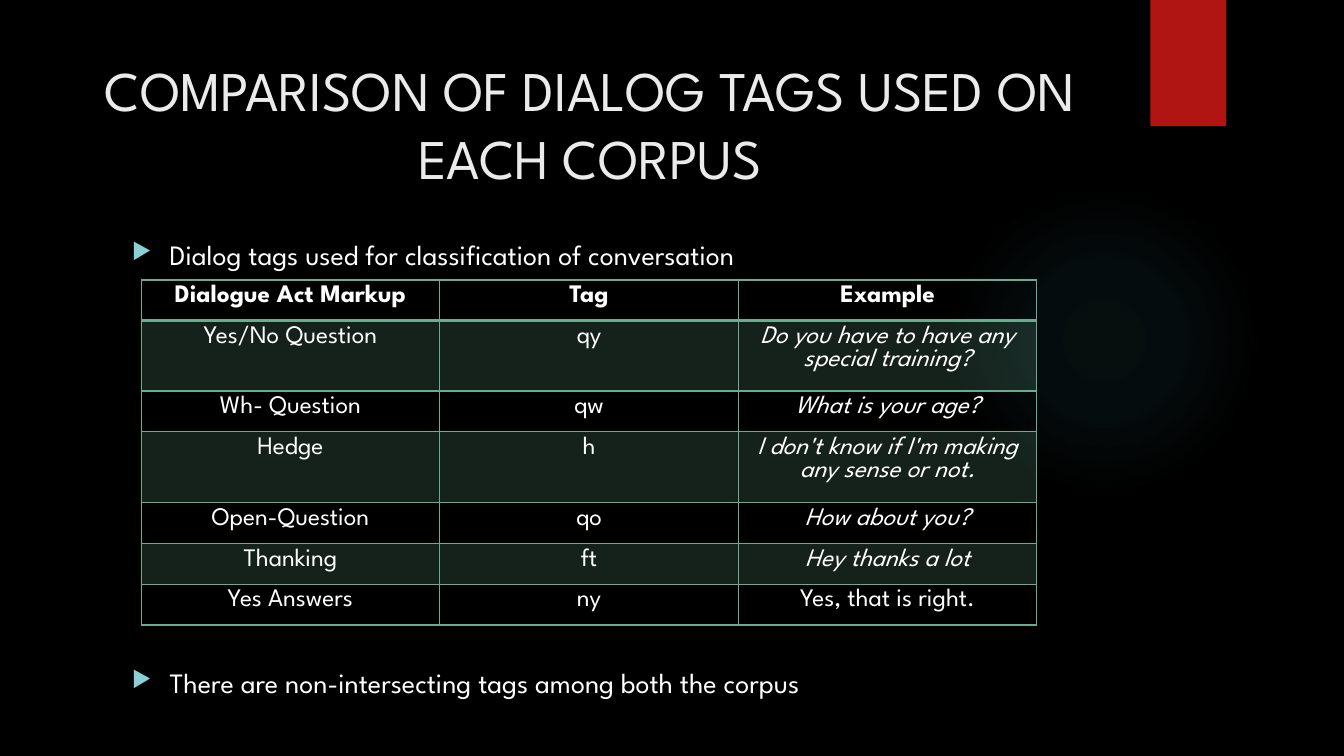
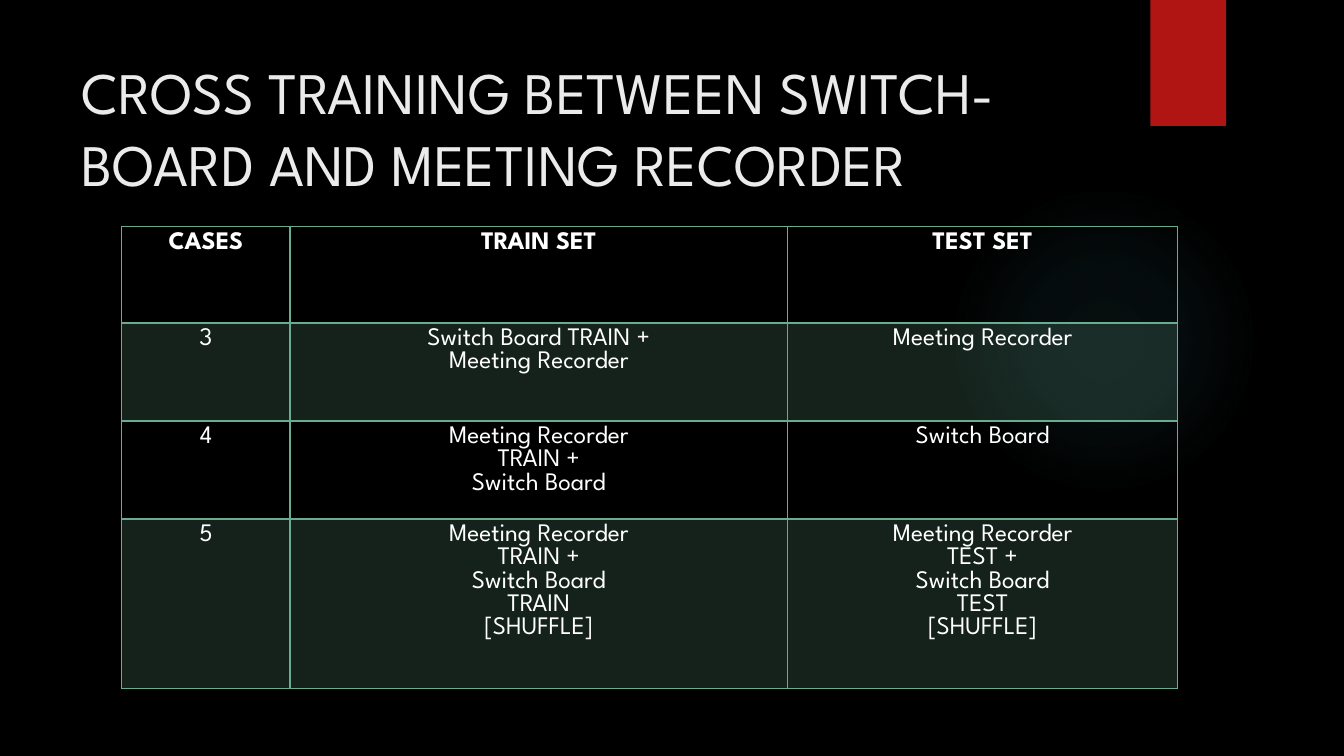
from lxml.etree import SubElement
from pptx import Presentation
from pptx.dml.color import RGBColor
from pptx.enum.shapes import MSO_SHAPE
from pptx.enum.text import MSO_ANCHOR, MSO_AUTO_SIZE, PP_ALIGN
from pptx.oxml import parse_xml
from pptx.oxml.ns import nsdecls, qn
from pptx.util import Pt

FONT = "League Spartan"
COLOURS = {
    "background": "000000",
    "title": "EBEBEB",
    "text": "FFFFFF",
    "ribbon": "B01513",
    "glow": "50B9C1",
    "bullet": "8AD0D6",
    "table": "6AAC90",
}
GLOW_STOPS = ((0, 7), (36, 6), (69, 0))  # position and opacity in percent
BAND_OPACITY = 20


def rgb(name):
    return RGBColor.from_string(COLOURS[name])


class DarkDeck:
    """Holds the style and the current page."""

    def __init__(self):
        self.deck = Presentation()
        self.deck.slide_width, self.deck.slide_height = Pt(960), Pt(540)
        fill = self.deck.slide_master.background.fill
        fill.solid()
        fill.fore_color.rgb = rgb("background")
        self.page = None

    def add_page(self, title, size, align):
        self.page = self.deck.slides.add_slide(self.deck.slide_layouts[5])
        self.glow()
        self.ribbon()
        self.title(title, size, align)

    def shape(self, kind, left, top, width, height):
        shape = self.page.shapes.add_shape(
            kind, Pt(left), Pt(top), Pt(width), Pt(height))
        shape.shadow.inherit = False
        shape.line.fill.background()
        return shape

    def glow(self):
        circle = self.shape(MSO_SHAPE.OVAL, 677.5, 131.8, 221.8, 221.8)
        stops = "".join(
            f'<a:gs pos="{place * 1000}"><a:srgbClr val="{COLOURS["glow"]}">'
            f'<a:alpha val="{opacity * 1000}"/></a:srgbClr></a:gs>'
            for place, opacity in GLOW_STOPS)
        gradient = parse_xml(
            f'<a:gradFill {nsdecls("a")}><a:gsLst>{stops}</a:gsLst>'
            '<a:path path="circle"><a:fillToRect l="50000" t="50000" '
            'r="50000" b="50000"/></a:path></a:gradFill>')
        circle._element.spPr.find(qn("a:prstGeom")).addnext(gradient)

    def ribbon(self):
        ribbon = self.shape(MSO_SHAPE.RECTANGLE, 821.8, 0, 54, 90)
        ribbon.fill.solid()
        ribbon.fill.fore_color.rgb = rgb("ribbon")

    def span(self, para, text, size, colour="text", bold=False, italic=False):
        span = para.add_run()
        span.text = text
        font = span.font
        font.name, font.size = FONT, Pt(size)
        font.bold, font.italic = bold, italic
        font.color.rgb = rgb(colour)

    def title(self, text, size, align):
        box = self.page.shapes.title
        box.left, box.top, box.width, box.height = (
            Pt(51.1), Pt(36), Pt(740.9), Pt(110.2))
        frame = box.text_frame
        frame.auto_size = MSO_AUTO_SIZE.NONE
        frame.word_wrap = True
        frame.vertical_anchor = MSO_ANCHOR.TOP
        para = frame.paragraphs[0]
        para.alignment = align
        para.line_spacing = Pt(size * 1.21)
        self.span(para, text, size, "title")

    def bullet(self, text, top):
        box = self.page.shapes.add_textbox(Pt(87.1), Pt(top), Pt(704), Pt(28))
        box.text_frame.word_wrap = True
        para = box.text_frame.paragraphs[0]
        props = para._p.get_or_add_pPr()
        props.set("marL", str(Pt(27)))
        props.set("indent", str(-Pt(27)))
        colour = SubElement(props, qn("a:buClr"))
        SubElement(colour, qn("a:srgbClr"), val=COLOURS["bullet"])
        SubElement(props, qn("a:buSzPct"), val="80000")
        SubElement(props, qn("a:buChar"), char="▶")
        self.span(para, text, 20)

    def border(self, cell, side, width):
        line = SubElement(cell._tc.get_or_add_tcPr(), qn(f"a:ln{side}"),
                          w=str(Pt(width)))
        fill = SubElement(line, qn("a:solidFill"))
        SubElement(fill, qn("a:srgbClr"), val=COLOURS["table"])

    def cell(self, cell, text, row, italic):
        # Borders come before the fill; the header has a heavier lower edge
        for side in "LRTB":
            heavy = (row, side) in ((0, "B"), (1, "T"))
            self.border(cell, side, 2 if heavy else 1)
        if row % 2:
            cell.fill.solid()
            cell.fill.fore_color.rgb = rgb("table")
            tint = cell._tc.tcPr.find(qn("a:solidFill"))[0]
            SubElement(tint, qn("a:alpha"), val=str(BAND_OPACITY * 1000))
        else:
            cell.fill.background()
        frame = cell.text_frame
        for number, line in enumerate(text.split("\n")):
            para = frame.add_paragraph() if number else frame.paragraphs[0]
            para.alignment = PP_ALIGN.CENTER
            self.span(para, line, 18, bold=row == 0, italic=italic)

    def table(self, left, top, widths, heights, rows, italics=()):
        table = self.page.shapes.add_table(
            len(rows), len(widths), Pt(left), Pt(top),
            Pt(sum(widths)), Pt(sum(heights))).table
        table.first_row = table.horz_banding = False
        for column, width in zip(table.columns, widths):
            column.width = Pt(width)
        for row, height in zip(table.rows, heights):
            row.height = Pt(height)
        for r, texts in enumerate(rows):
            for c, text in enumerate(texts):
                self.cell(table.cell(r, c), text, r, (r, c) in italics)


def main():
    style = DarkDeck()

    # Dialog tags
    style.add_page("COMPARISON OF DIALOG TAGS USED ON EACH CORPUS", 40,
                   PP_ALIGN.CENTER)
    style.bullet("Dialog tags used for classification of conversation", 166)
    tags = [
        ("Dialogue Act Markup", "Tag", "Example"),
        ("Yes/No Question", "qy", "Do you have to have any special training?"),
        ("Wh- Question", "qw", "What is your age?"),
        ("Hedge", "h", "I don't know if I'm making any sense or not."),
        ("Open-Question", "qo", "How about you?"),
        ("Thanking", "ft", "Hey thanks a lot"),
        ("Yes Answers", "ny", "Yes, that is right."),
    ]
    style.table(100.8, 200, [213.3] * 3, [24, 40.3, 29.2, 40.3] + [29.2] * 3,
                tags, italics={(row, 2) for row in range(1, 6)})
    style.bullet("There are non-intersecting tags among both the corpus", 472)

    # Cross training
    style.add_page("CROSS TRAINING BETWEEN SWITCH-BOARD AND MEETING RECORDER",
                   42, PP_ALIGN.LEFT)
    shuffled = "Meeting Recorder\n{0} +\nSwitch Board\n{0}\n[SHUFFLE]"
    cases = [
        ("CASES", "TRAIN SET", "TEST SET"),
        ("3", "Switch Board TRAIN +\nMeeting Recorder", "Meeting Recorder"),
        ("4", "Meeting Recorder\nTRAIN +\nSwitch Board", "Switch Board"),
        ("5", shuffled.format("TRAIN"), shuffled.format("TEST")),
    ]
    style.table(87, 161.7, [120.2, 355.4, 278.6], [69, 70, 70, 121], cases)

    style.deck.save("out.pptx")


if __name__ == "__main__":
    main()
